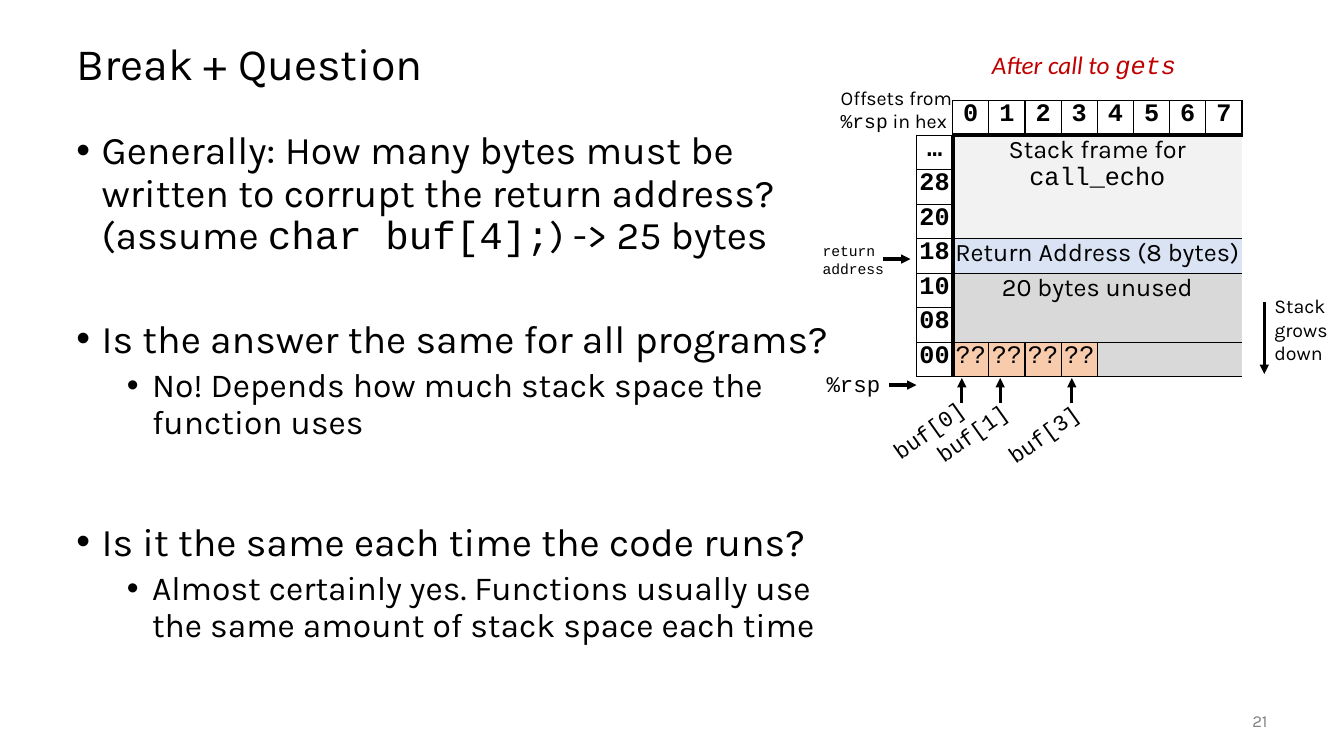
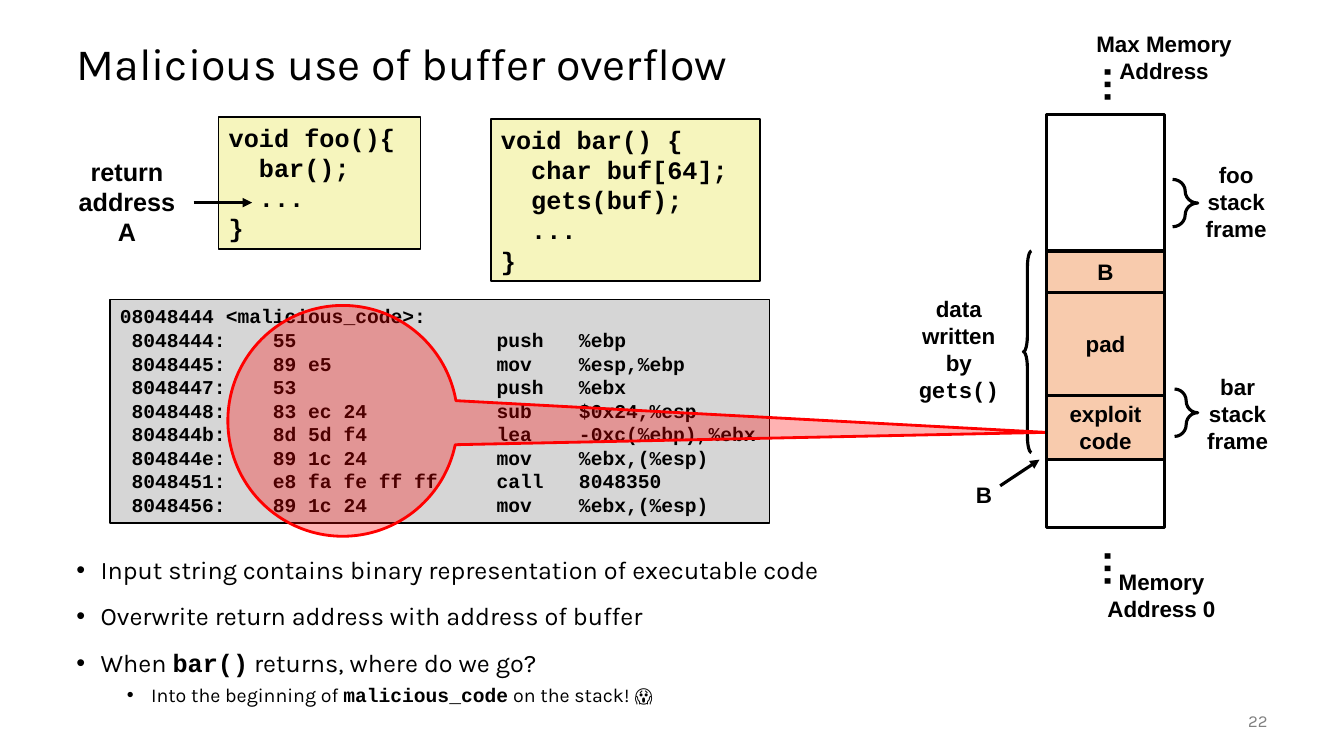
"""Build two slides on buffer overflow: corrupting and abusing a return address."""
from dataclasses import dataclass, replace
from itertools import product

from lxml.etree import SubElement
from pptx import Presentation
from pptx.dml.color import RGBColor
from pptx.enum.shapes import MSO_CONNECTOR, MSO_SHAPE
from pptx.enum.text import MSO_ANCHOR, PP_ALIGN
from pptx.oxml import parse_xml
from pptx.oxml.ns import nsdecls, qn
from pptx.util import Inches, Pt

BLACK = RGBColor(0, 0, 0)
WHITE = RGBColor(0xFF, 0xFF, 0xFF)
GRAY = RGBColor(0x80, 0x80, 0x80)
DARK = RGBColor(0x33, 0x33, 0x33)
RED = RGBColor(0xFF, 0, 0)
CRIMSON = RGBColor(0xC0, 0, 0)
ORANGE = RGBColor(0xF8, 0xCB, 0xAD)
YELLOW = RGBColor(0xF6, 0xF5, 0xBD)
FRAME = RGBColor(0xF2, 0xF2, 0xF2)
BLUE = RGBColor(0xDA, 0xE3, 0xF3)
UNUSED = RGBColor(0xD9, 0xD9, 0xD9)

CENTER = PP_ALIGN.CENTER
PLAIN_TABLE = "{2D5ABB26-0587-4C30-8999-92F81FD0307C}"
BUF_TILT = -35.4
STACK_LEFT, STACK_TOP, STACK_WIDTH = 10.38, 1.14, 1.17


@dataclass(frozen=True)
class Style:
    """Look of a run of text."""
    size: float
    font: str = "Karla"
    color: RGBColor = BLACK
    bold: bool = False
    italic: bool = False

    def code(self, bold=False):
        """Return the same style in the code font."""
        return replace(self, font="Courier New", bold=bold)


TITLE = Style(32)
NUMBER = Style(12, color=GRAY)
NOTE = Style(14)
CELL = Style(18)
LABEL = Style(16, "Arial", bold=True)
CODE = Style(16).code()


def write(frame, paras, align=PP_ALIGN.LEFT, anchor=MSO_ANCHOR.TOP):
    """Write paragraphs, each a list of (text, style) spans, into a frame."""
    frame.vertical_anchor = anchor
    for index, spans in enumerate(paras):
        para = frame.paragraphs[0] if index == 0 else frame.add_paragraph()
        para.alignment = align
        for text, style in spans:
            span = para.add_run()
            span.text = text
            span.font.size = Pt(style.size)
            span.font.name = style.font
            span.font.bold = style.bold
            span.font.italic = style.italic
            span.font.color.rgb = style.color


def lines(style, *texts):
    """Return one single-span paragraph for each text."""
    return [[(text, style)] for text in texts]


def add_text(page, at, paras, align=PP_ALIGN.LEFT, anchor=MSO_ANCHOR.TOP,
             wrap=True, tilt=0):
    """Add a text box."""
    box = page.shapes.add_textbox(*map(Inches, at))
    box.text_frame.word_wrap = wrap
    box.rotation = tilt
    write(box.text_frame, paras, align, anchor)
    return box


def add_label(page, at, *texts, style=LABEL, wrap=True, tilt=0):
    """Add a centred label."""
    add_text(page, at, lines(style, *texts), CENTER, MSO_ANCHOR.MIDDLE, wrap, tilt)


def add_bullets(page, at, items, hang):
    """Add bullets given as (level, space before, spans)."""
    box = add_text(page, at, [spans for _, _, spans in items])
    for para, (level, space, _) in zip(box.text_frame.paragraphs, items):
        properties = para._p.get_or_add_pPr()
        properties.set("marL", str(Inches(hang + level / 2)))
        properties.set("indent", str(Inches(-hang)))
        SubElement(properties, qn("a:buFont")).set("typeface", "Arial")
        SubElement(properties, qn("a:buChar")).set("char", "•")
        para.line_spacing = 0.9
        para.space_before = Pt(space)


def add_shape(page, kind, at, fill=None, line=BLACK, weight=2.25, alpha=None,
              adjust=()):
    """Add a preset shape, see-through when alpha is given in percent."""
    shape = page.shapes.add_shape(kind, *map(Inches, at))
    shape.shadow.inherit = False
    for index, value in enumerate(adjust):
        shape.adjustments[index] = value
    if fill is None:
        shape.fill.background()
    else:
        shape.fill.solid()
        shape.fill.fore_color.rgb = fill
    if alpha is not None:
        color = shape.fill._xPr.find(".//" + qn("a:srgbClr"))
        SubElement(color, qn("a:alpha")).set("val", str(alpha * 1000))
    shape.line.color.rgb = line
    shape.line.width = Pt(weight)
    return shape


def add_code(page, at, size, fill, texts, alpha=None):
    """Add a framed code listing."""
    box = add_shape(page, MSO_SHAPE.RECTANGLE, at, fill, weight=1, alpha=alpha)
    box.text_frame.word_wrap = True
    write(box.text_frame, lines(Style(size).code(bold=True), *texts))


def add_arrow(page, *ends):
    """Add an arrow from the first point to the second."""
    arrow = page.shapes.add_connector(MSO_CONNECTOR.STRAIGHT, *map(Inches, ends))
    arrow.line.color.rgb = BLACK
    arrow.line.width = Pt(2.25)
    SubElement(arrow.line._get_or_add_ln(), qn("a:tailEnd")).set("type", "triangle")
    SubElement(arrow._element.spPr, qn("a:effectLst"))


def set_borders(cell, widths):
    """Set cell borders from a side-to-points mapping."""
    properties = cell._tc.get_or_add_tcPr()
    for index, side in enumerate("LRTB"):
        width = widths.get(side)
        paint = ('<a:solidFill><a:srgbClr val="000000"/></a:solidFill>'
                 if width else "<a:noFill/>")
        properties.insert(index, parse_xml(
            f'<a:ln{side} {nsdecls("a")} w="{Pt(width or 0)}">{paint}</a:ln{side}>'))


def fill_region(table, top, left, spans=(), fill=None, rows=1, columns=1,
                borders=None):
    """Merge a block of cells, then write, fill and outline it."""
    borders = borders or dict.fromkeys("LRTB", 1)
    first = table.cell(top, left)
    if rows * columns > 1:
        first.merge(table.cell(top + rows - 1, left + columns - 1))
    for row, column in product(range(rows), range(columns)):
        cell = table.cell(top + row, left + column)
        cell.margin_left = cell.margin_right = 0
        cell.margin_top = cell.margin_bottom = 0
        if fill is None:
            cell.fill.background()
        else:
            cell.fill.solid()
            cell.fill.fore_color.rgb = fill
        edges = {"L": column == 0, "R": column == columns - 1,
                 "T": row == 0, "B": row == rows - 1}
        set_borders(cell, {side: width for side, width in borders.items()
                           if edges[side]})
    write(first.text_frame, [spans], CENTER, MSO_ANCHOR.MIDDLE)


def add_stack_table(page):
    """Add the byte-by-byte view of the stack."""
    width, height = 3.23, 2.74
    table = page.shapes.add_table(
        8, 9, *map(Inches, (9.09, 1, width, height))).table
    table.first_row = table.horz_banding = False
    table._tbl.tblPr.find(qn("a:tableStyleId")).text = PLAIN_TABLE
    for column in table.columns:
        column.width = Inches(width / 9)
    for row in table.rows:
        row.height = Inches(height / 8)

    bold, mono = CELL.code(bold=True), CELL.code()
    thick_left = {"L": 3, "R": 1, "T": 1, "B": 1}
    fill_region(table, 0, 0, borders={"R": 1, "B": 1})
    for byte in range(8):
        fill_region(table, 0, byte + 1, [(str(byte), bold)],
                    borders={"L": 1, "R": 1, "T": 1, "B": 3})
    for row, offset in enumerate(("…", "28", "20", "18", "10", "08", "00"), 1):
        fill_region(table, row, 0, [(offset, bold)],
                    borders={"L": 1, "R": 3, "T": 1, "B": 1})
    fill_region(table, 1, 1, [("Stack frame for ", CELL), ("call_echo", mono)],
                FRAME, 3, 8, {**thick_left, "T": 3})
    fill_region(table, 4, 1, [("Return Address (8 bytes)", CELL)], BLUE, 1, 8,
                thick_left)
    fill_region(table, 5, 1, [("20 bytes unused", CELL)], UNUSED, 2, 8,
                {"L": 3, "R": 1, "T": 1})
    for byte in range(4):
        fill_region(table, 7, byte + 1, [("??", mono)], ORANGE,
                    borders=None if byte else thick_left)
    fill_region(table, 7, 5, fill=UNUSED, columns=4,
                borders={"L": 1, "R": 1, "B": 1})


def add_page(deck, title, number):
    """Add a page with its title and page number."""
    page = deck.slides.add_slide(deck.slide_layouts[6])
    add_text(page, (0.66, 0.25, 12, 0.75), lines(TITLE, title),
             anchor=MSO_ANCHOR.MIDDLE)
    add_text(page, (11.67, 6.95, 1, 0.4), lines(NUMBER, str(number)),
             PP_ALIGN.RIGHT, MSO_ANCHOR.MIDDLE)
    return page


def build_question(deck):
    """Build the question page."""
    page = add_page(deck, "Break + Question", 21)
    main_text, answer = Style(28), Style(24)
    add_bullets(page, (0.66, 1.25, 7.94, 5.43), [
        (0, 0, [("Generally: How many bytes must be written to corrupt the "
                 "return address? (assume ", main_text),
                ("char buf[4];", main_text.code()), (") -> 25 bytes", main_text)]),
        (0, 44, [("Is the answer the same for all programs?", main_text)]),
        (1, 5, [("No! Depends how much stack space the function uses", answer)]),
        (0, 58, [("Is it the same each time the code runs?", main_text)]),
        (1, 5, [("Almost certainly yes. Functions usually use the same amount "
                 "of stack space each time", answer)]),
    ], 0.25)
    caption = Style(18, "Calibri", CRIMSON, italic=True)
    add_text(page, (9.74, 0.44, 2.09, 0.4),
             [[("After call to ", caption),
               ("gets", replace(caption, font="Courier New"))]], wrap=False)
    add_stack_table(page)
    add_text(page, (8.24, 0.8, 1.77, 0.57),
             [[("Offsets from ", NOTE), ("%rsp", NOTE.code()), (" in hex", NOTE)]])
    add_text(page, (8.06, 2.35, 0.82, 0.45),
             lines(Style(10.5).code(), "return", "address"), wrap=False)
    add_text(page, (8.1, 3.62, 0.74, 0.37), lines(CODE, "%rsp"), wrap=False)
    add_text(page, (12.54, 2.87, 0.79, 0.81), lines(NOTE, "Stack grows down"))
    add_arrow(page, 8.76, 2.57, 9.03, 2.57)
    add_arrow(page, 8.82, 3.82, 9.09, 3.82)
    add_arrow(page, 12.54, 3, 12.54, 3.71)
    for index, left, top, tip in ((0, 8.71, 4.08, 9.54), (1, 9.14, 4.11, 9.92),
                                  (3, 9.85, 4.12, 10.63)):
        add_text(page, (left, top, 1.01, 0.37), lines(CODE, f"buf[{index}]"),
                 wrap=False, tilt=BUF_TILT)
        add_arrow(page, tip, 4, tip, 3.75)


def build_exploit(deck):
    """Build the malicious use page."""
    page = add_page(deck, "Malicious use of buffer overflow", 22)
    point, detail = Style(18), Style(14)
    add_bullets(page, (0.66, 5.48, 12, 1.65), [
        (0, 0, [("Input string contains binary representation of executable code",
                 point)]),
        (0, 14, [("Overwrite return address with address of buffer", point)]),
        (0, 14, [("When ", point), ("bar()", point.code(bold=True)),
                 (" returns, where do we go?", point)]),
        (1, 5, [("Into the beginning of ", detail),
                ("malicious_code", detail.code(bold=True)),
                (" on the stack! 😱", detail)]),
    ], 0.24)
    add_code(page, (4.87, 1.18, 2.67, 1.61), 18, YELLOW,
             ("void bar() {", "  char buf[64];", "  gets(buf);", "  ...", "}"))
    add_code(page, (2.17, 1.16, 2, 1.31), 18, YELLOW,
             ("void foo(){", "  bar();", "  ...", "}"))
    add_code(page, (1.09, 2.97, 6.54, 2.22), 14, DARK, (
        "08048444 <malicious_code>:",
        " 8048444:    55                 push   %ebp",
        " 8048445:    89 e5              mov    %esp,%ebp",
        " 8048447:    53                 push   %ebx",
        " 8048448:    83 ec 24           sub    $0x24,%esp",
        " 804844b:    8d 5d f4           lea    -0xc(%ebp),%ebx",
        " 804844e:    89 1c 24           mov    %ebx,(%esp)",
        " 8048451:    e8 fa fe ff ff     call   8048350",
        " 8048456:    89 1c 24           mov    %ebx,(%esp)"), alpha=20)
    for kind, at, curve in (
            (MSO_SHAPE.RIGHT_BRACE, (11.63, 1.78, 0.25, 0.47), 0.58),
            (MSO_SHAPE.RIGHT_BRACE, (11.65, 3.86, 0.23, 0.47), 0.87),
            (MSO_SHAPE.LEFT_BRACE, (10.15, 2.49, 0.08, 2), 2)):
        add_shape(page, kind, at, adjust=(curve, 0.5))
    add_shape(page, MSO_SHAPE.OVAL_CALLOUT, (2.26, 3.03, 2.28, 2.29), RED, RED, 2,
              alpha=30, adjust=(3.06, 0.05))

    top = STACK_TOP
    for height, texts in ((1.35, ()), (0.41, ("B",)), (1.02, ("pad",)),
                          (0.64, ("exploit", "code")), (0.67, ())):
        block = add_shape(page, MSO_SHAPE.RECTANGLE,
                          (STACK_LEFT, top, STACK_WIDTH, height),
                          ORANGE if texts else WHITE)
        write(block.text_frame, lines(LABEL, *texts), CENTER, MSO_ANCHOR.MIDDLE)
        top += height

    add_label(page, (0.68, 1.5, 1.16, 1), "return", "address", "A",
              style=replace(LABEL, size=18), wrap=False)
    add_label(page, (11.77, 1.55, 0.98, 0.9), "foo stack frame")
    add_label(page, (11.81, 3.65, 0.93, 0.9), "bar stack frame")
    add_label(page, (9.58, 4.72, 0.36, 0.37), "B", wrap=False)
    add_text(page, (9.01, 2.88, 1, 1.17),
             lines(LABEL, "data", "written", "by")
             + lines(LABEL.code(bold=True), "gets()"),
             CENTER, MSO_ANCHOR.MIDDLE, wrap=False)
    add_label(page, (10.65, 0.25, 1.79, 0.64), "Max Memory Address")
    add_label(page, (10.76, 5.58, 1.52, 0.64), "Memory Address 0")
    for dots_top in (0.56, 5.36):
        add_label(page, (10.37, dots_top, 0.98, 0.57), "…",
                  style=replace(LABEL, size=28), tilt=270)
    add_arrow(page, 1.92, 2.01, 2.5, 2.01)
    add_arrow(page, 9.92, 4.82, 10.31, 4.56)


def main():
    """Build and save the deck."""
    deck = Presentation()
    deck.slide_width, deck.slide_height = Inches(13.33), Inches(7.5)
    build_question(deck)
    build_exploit(deck)
    deck.save("out.pptx")


if __name__ == "__main__":
    main()
